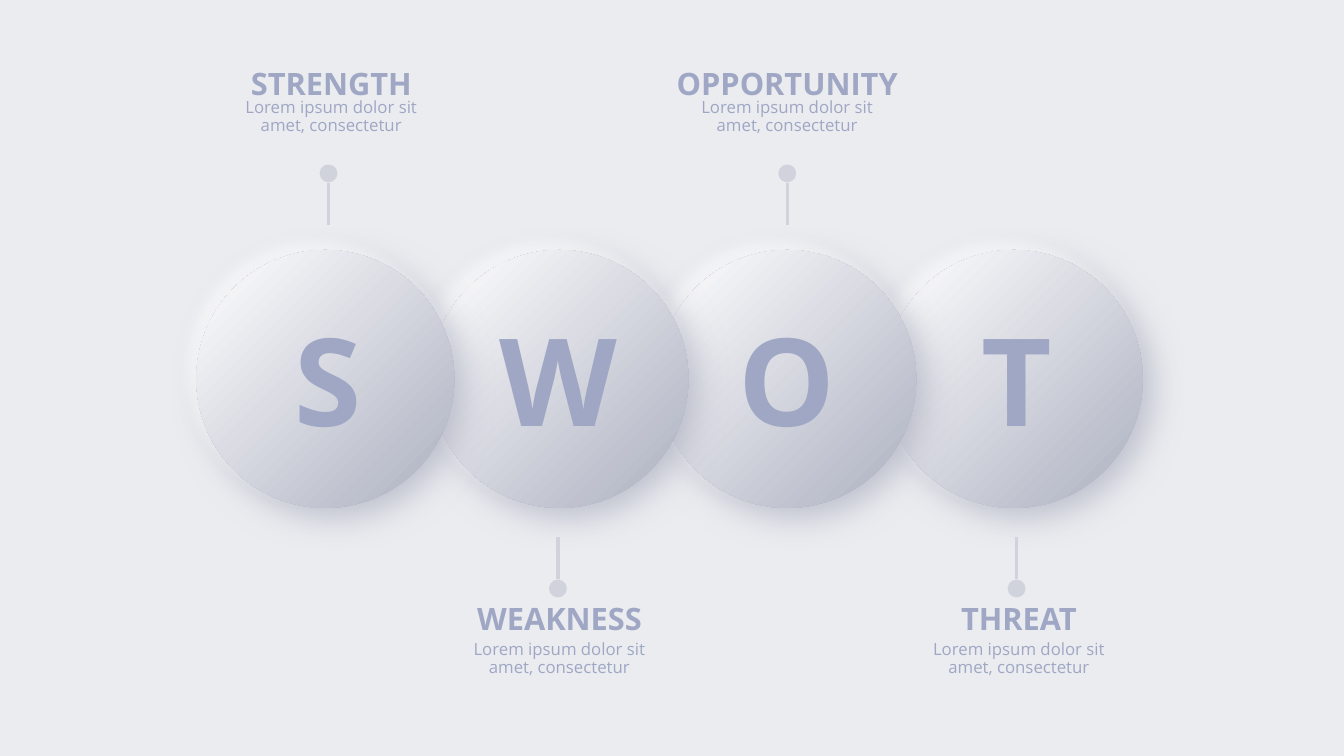
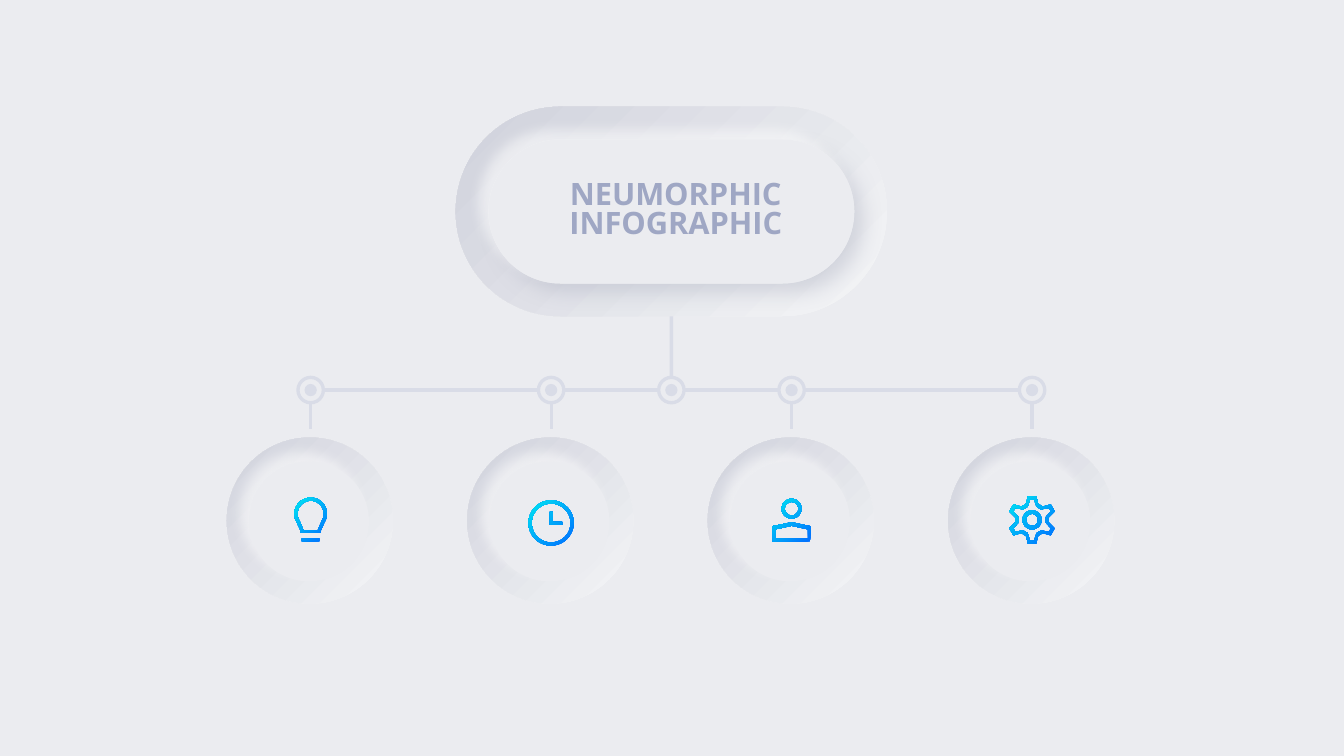
import math

import pptx
import pptx.dml.color
import pptx.enum.shapes
import pptx.enum.text
import pptx.oxml
import pptx.oxml.ns
import pptx.util

Cm = pptx.util.Cm
Pt = pptx.util.Pt
RGBColor = pptx.dml.color.RGBColor
SHAPE = pptx.enum.shapes.MSO_SHAPE
ANCHOR = pptx.enum.text.MSO_ANCHOR

# Shared look
FONT = "Open Sans"
BACKGROUND = RGBColor(0xEB, 0xEC, 0xF0)
INK = RGBColor(0x9F, 0xA7, 0xC4)
WHITE = RGBColor(0xFF, 0xFF, 0xFF)
SHADE = RGBColor(0xAC, 0xB0, 0xC0)
PIN = RGBColor(0xD0, 0xD2, 0xDC)
RIM_LIGHT = RGBColor(0xF4, 0xF5, 0xF7)
TREE = RGBColor(0xD9, 0xDC, 0xE7)
ICON_BLUE = RGBColor(0x00, 0x6E, 0xFF)
ICON_CYAN = RGBColor(0x00, 0xE6, 0xF2)

# Shadows: colour, opacity %, blur pt, distance pt, direction in degrees
LOW_SHADOW = (SHADE, 73, 24, 9, 45)
SOFT_SHADOW = (SHADE, 42, 14, 9, 45)
HIGHLIGHT = (WHITE, 56, 9, 9, 225)

# Gradients: first colour, last colour, geometry
DIAGONAL = '<a:lin ang="13500000" scaled="0"/>'
FROM_CORNER = '<a:path path="circle"><a:fillToRect r="100000" b="100000"/></a:path>'
DISC_FILL = (WHITE, SHADE, FROM_CORNER)
RIM_FILL = (RIM_LIGHT, PIN, DIAGONAL)
ICON_FILL = (ICON_BLUE, ICON_CYAN, DIAGONAL)

# SWOT slide: letter, heading, disc centre, text centre
BODY = "Lorem ipsum dolor sit amet, consectetur"
SWOT = [
    ("S", "STRENGTH", 8.2, 8.35),
    ("W", "WEAKNESS", 14.1, 14.1),
    ("O", "OPPORTUNITY", 19.84, 19.84),
    ("T", "THREAT", 25.55, 25.68),
]
PIN_START, PIN_PITCH = 8.28, 5.78
# Heading top, body top, dot centre, line start, line end
ABOVE = (1.63, 2.36, 4.37, 5.66, 4.6)
BELOW = (15.11, 16.03, 14.83, 13.54, 14.6)

# Tree slide
TREE_X, TREE_Y, TREE_PITCH = 16.92, 9.83, 6.06
NODE_SIZE = 0.64
WELL_Y = 13.12


def xml(text):
    return pptx.oxml.parse_xml(text.format(ns=pptx.oxml.ns.nsdecls("a")))


def add_gradient(shape, first, last, geometry):
    shape.fill.background()
    properties = shape._element.spPr
    blank = properties.find(pptx.oxml.ns.qn("a:noFill"))
    properties.replace(blank, xml(
        '<a:gradFill {ns} rotWithShape="1"><a:gsLst>'
        f'<a:gs pos="0"><a:srgbClr val="{first}"/></a:gs>'
        f'<a:gs pos="100000"><a:srgbClr val="{last}"/></a:gs>'
        f'</a:gsLst>{geometry}</a:gradFill>'))


def add_shadow(shape, color, opacity, blur, distance, direction):
    effects = shape._element.spPr.find(pptx.oxml.ns.qn("a:effectLst"))
    effects.append(xml(
        f'<a:outerShdw {{ns}} blurRad="{Pt(blur)}" dist="{Pt(distance)}" '
        f'dir="{direction * 60000}" algn="ctr" rotWithShape="0">'
        f'<a:srgbClr val="{color}"><a:alpha val="{opacity * 1000}"/></a:srgbClr>'
        '</a:outerShdw>'))


def dress(shape, fill=None, gradient=None, line=None, shadow=None):
    """Set the fill, outline and shadow of a shape."""
    shape.shadow.inherit = False
    if gradient:
        add_gradient(shape, *gradient)
    elif fill is not None:
        shape.fill.solid()
        shape.fill.fore_color.rgb = fill
    else:
        shape.fill.background()
    if line is not None:
        shape.line.color.rgb = line
        shape.line.width = Pt(2.38)
    else:
        shape.line.fill.background()
    if shadow:
        add_shadow(shape, *shadow)
    return shape


def add_centred(page, kind, x, y, width, height, **look):
    shape = page.shapes.add_shape(
        kind, Cm(x - width / 2), Cm(y - height / 2), Cm(width), Cm(height))
    return dress(shape, **look)


def add_circle(page, x, y, size, **look):
    return add_centred(page, SHAPE.OVAL, x, y, size, size, **look)


def add_pill(page, x, y, width, height, **look):
    pill = add_centred(page, SHAPE.ROUNDED_RECTANGLE, x, y, width, height, **look)
    pill.adjustments[0] = 0.5
    return pill


def add_line(page, x1, y1, x2, y2, color, width):
    line = page.shapes.add_connector(
        pptx.enum.shapes.MSO_CONNECTOR.STRAIGHT, Cm(x1), Cm(y1), Cm(x2), Cm(y2))
    line.line.color.rgb = color
    line.line.width = Pt(width)
    line._element.spPr.append(xml("<a:effectLst {ns}/>"))
    return line


def write(box, text, size, bold=False, anchor=ANCHOR.MIDDLE, spacing=None, inset=0.0):
    """Fill a text box or placeholder with centred, formatted text."""
    frame = box.text_frame
    frame.text = text
    frame.word_wrap = True
    frame.auto_size = pptx.enum.text.MSO_AUTO_SIZE.NONE
    frame.vertical_anchor = anchor
    frame.margin_left = frame.margin_right = Cm(inset)
    frame.margin_top = frame.margin_bottom = Cm(inset / 2)
    for para in frame.paragraphs:
        para.alignment = pptx.enum.text.PP_ALIGN.CENTER
        para.line_spacing = spacing
        for span in para.runs:
            span.font.name = FONT
            span.font.size = Pt(size)
            span.font.bold = bold
            span.font.color.rgb = INK


def add_text(page, text, x, top, width, height, **style):
    box = page.shapes.add_textbox(Cm(x - width / 2), Cm(top), Cm(width), Cm(height))
    write(box, text, **style)


# Icon outlines, in centimetres around the icon's centre
def arc(radius, y=0.0, start=0, end=360):
    steps = 48
    angles = [math.radians(start + (end - start) * i / steps) for i in range(steps + 1)]
    return [(radius * math.cos(a), y + radius * math.sin(a)) for a in angles]


def cog(tip, tip_angle, root, root_angle, y):
    corners = [(root, -root_angle), (tip, -tip_angle), (tip, tip_angle), (root, root_angle)]
    return [(radius * math.sin(math.radians(60 * tooth + angle)),
             y - radius * math.cos(math.radians(60 * tooth + angle)))
            for tooth in range(6) for radius, angle in corners]


def bulb():
    return [
        [(-0.22, 0.45), (0.22, 0.45), (0.22, 0.52), (-0.22, 0.52)],
        arc(0.41, -0.17, 32, -212)
        + [(-0.25, 0.26), (-0.25, 0.3), (0.25, 0.3), (0.25, 0.26)],
        arc(0.33, -0.17, 32, -212) + [(-0.18, 0.24), (0.18, 0.24)],
    ]


def clock():
    hands = [(0.28, 0.11), (-0.03, 0.11), (-0.03, -0.22),
             (0.04, -0.22), (0.04, 0.03), (0.28, 0.03)]
    return [arc(0.57, 0.06), arc(0.49, 0.06), hands]


def person():
    return [
        [(0.48, 0.14), (0, 0.04), (-0.48, 0.14), (-0.48, 0.53), (0.48, 0.53)],
        [(0.41, 0.22), (0, 0.13), (-0.41, 0.22), (-0.41, 0.45), (0.41, 0.45)],
        arc(0.25, -0.3),
        arc(0.17, -0.3),
    ]


def gear():
    y = -0.02
    return [cog(0.61, 9.7, 0.43, 21, y), cog(0.52, 5.5, 0.35, 19, y),
            arc(0.24, y), arc(0.15, y)]


def add_icon(page, x, y, outlines):
    builder = None
    for outline in outlines:
        points = [(Cm(x + dx), Cm(y + dy)) for dx, dy in outline]
        if builder is None:
            builder = page.shapes.build_freeform(*points[0])
        else:
            builder.move_to(*points[0])
        builder.add_line_segments(points[1:], close=True)
    dress(builder.convert_to_shape(), gradient=ICON_FILL)


# Slides
def build_swot(deck):
    page = deck.slides.add_slide(deck.slide_layouts[6])

    # Overlapping discs, the first on top
    for _, _, disc_x, _ in reversed(SWOT):
        add_circle(page, disc_x, 9.55, 6.5, fill=BACKGROUND, shadow=LOW_SHADOW)
        add_circle(page, disc_x, 9.55, 6.5, gradient=DISC_FILL, shadow=HIGHLIGHT)

    # Letters, pins and captions, alternately above and below
    for index, (letter, heading, _, text_x) in enumerate(SWOT):
        pin_x = PIN_START + index * PIN_PITCH
        heading_top, body_top, dot_y, start, end = BELOW if index % 2 else ABOVE
        add_text(page, letter, pin_x, 7.67, 4, 3.71, size=87, bold=True)
        add_line(page, pin_x, start, pin_x, end, PIN, 2.5)
        add_circle(page, pin_x, dot_y, 0.45, fill=PIN)
        add_text(page, heading, text_x, heading_top, 6, 0.94, size=22, bold=True)
        add_text(page, BODY, text_x, body_top, 5.3, 1.27, size=12,
                 anchor=ANCHOR.TOP, spacing=0.9, inset=0.25)


def build_tree(deck):
    page = deck.slides.add_slide(deck.slide_layouts[5])
    radius = NODE_SIZE / 2
    branches = [TREE_X + TREE_PITCH * step for step in (-1.5, -0.5, 0.5, 1.5)]
    nodes = sorted(branches + [TREE_X])

    # Title pill and trunk
    pill = add_pill(page, TREE_X, 5.33, 10.87, 5.28, gradient=RIM_FILL)
    for shadow in (SOFT_SHADOW, HIGHLIGHT):
        add_pill(page, TREE_X, 5.33, 9.22, 3.63, fill=BACKGROUND, shadow=shadow)
    trunk = add_line(page, TREE_X, 7.97, TREE_X, TREE_Y - radius, TREE, 2.38)
    trunk.begin_connect(pill, 2)

    # Nodes and the links between them
    for left, right in zip(nodes, nodes[1:]):
        add_line(page, left + radius, TREE_Y, right - radius, TREE_Y, TREE, 2.38)
    for x in nodes:
        add_circle(page, x, TREE_Y, NODE_SIZE, line=TREE)
        add_circle(page, x, TREE_Y, 0.31, fill=TREE)

    # Branches with their wells and icons
    for x, icon in zip(branches, (bulb, clock, person, gear)):
        add_line(page, x, TREE_Y + radius, x, 10.82, TREE, 2.38)
        add_circle(page, x - 0.02, WELL_Y, 4.19, gradient=RIM_FILL)
        add_circle(page, x - 0.04, WELL_Y + 0.02, 3.02, fill=BACKGROUND, shadow=HIGHLIGHT)
        add_icon(page, x, WELL_Y, icon())

    # Title, brought in front of the pill
    title = page.shapes.title
    title.left, title.top, title.width, title.height = Cm(13.53), Cm(4.33), Cm(7), Cm(2)
    write(title, "NEUMORPHIC\nINFOGRAPHIC", size=22, bold=True, spacing=Pt(21))
    page.shapes._spTree.append(title._element)


def main():
    deck = pptx.Presentation()
    deck.slide_width, deck.slide_height = Cm(33.87), Cm(19.05)
    fill = deck.slide_master.background.fill
    fill.solid()
    fill.fore_color.rgb = BACKGROUND
    build_swot(deck)
    build_tree(deck)
    deck.save("out.pptx")


if __name__ == "__main__":
    main()
